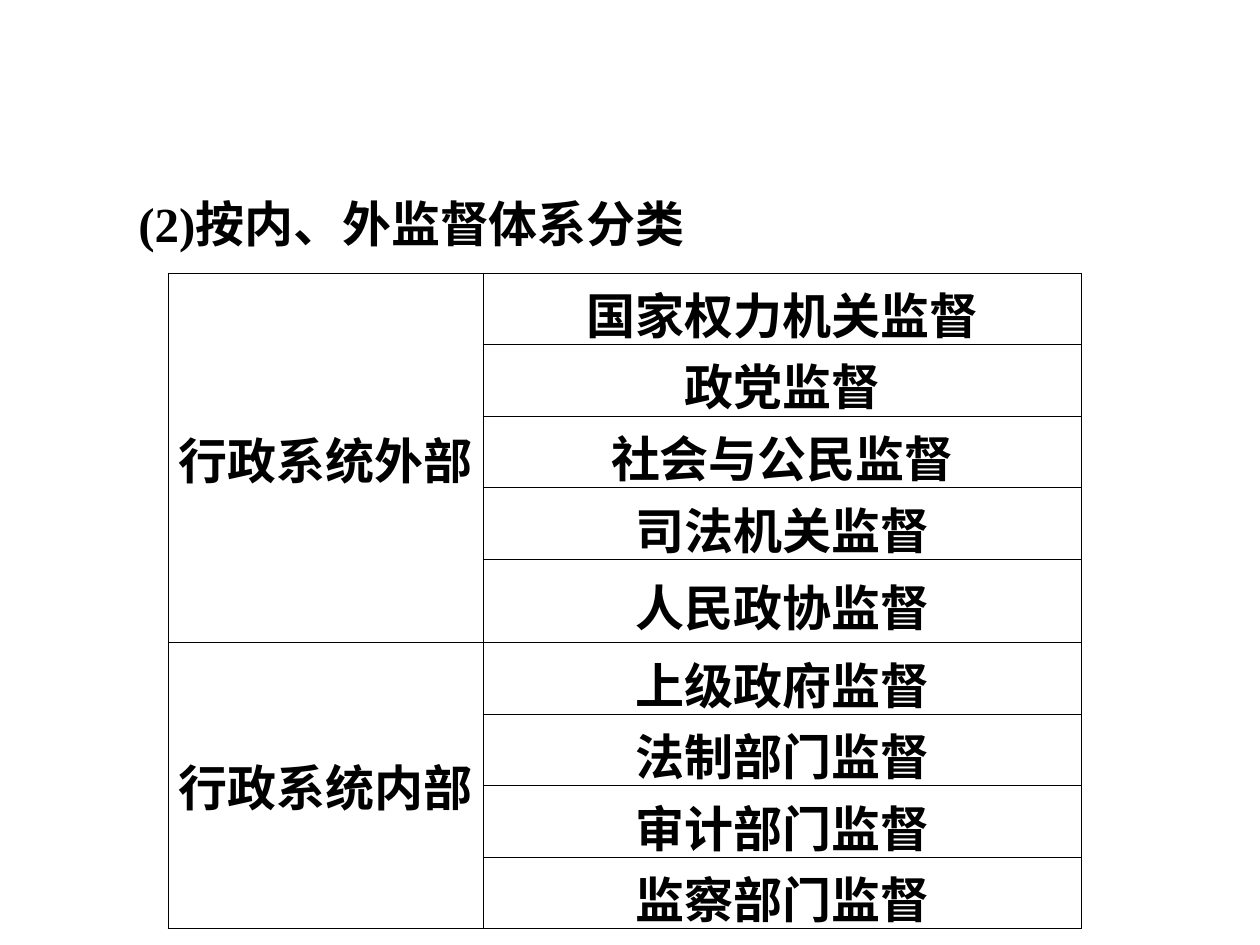
from lxml import etree
from pptx import Presentation
from pptx.dml.color import RGBColor
from pptx.enum.text import MSO_ANCHOR, MSO_AUTO_SIZE, PP_ALIGN
from pptx.oxml.ns import qn
from pptx.util import Pt

CENTER, JUSTIFY = PP_ALIGN.CENTER, PP_ALIGN.JUSTIFY
MIDDLE = MSO_ANCHOR.MIDDLE
GROW = MSO_AUTO_SIZE.SHAPE_TO_FIT_TEXT
COLORS = {"text": "000000", "border": "000000"}
CJK_FONT, LATIN_FONT = "Noto Sans CJK SC", "Times New Roman"
ROW_HEIGHT = 35.2
COLUMN_WIDTHS = (180, 342)
# Top and bottom cell margins; items sit tight on the lower border
GROUP_MARGINS = (3.6, 3.6)
ITEM_MARGINS = (2.7, -2.3)
GROUPS = {
    "行政系统外部": ["国家权力机关监督", "政党监督", "社会与公民监督",
               "司法机关监督", "人民政协监督"],
    "行政系统内部": ["上级政府监督", "法制部门监督", "审计部门监督", "监察部门监督"],
}


def write(frame, text, font_name, align):
    """Put one bold line into a text frame."""
    para = frame.paragraphs[0]
    span = para.add_run()
    span.text = text
    para.alignment = align
    for font in (para.font, span.font):
        font.name, font.size, font.bold = font_name, Pt(28), True
        font.color.rgb = RGBColor.from_string(COLORS["text"])
    east_asian = etree.Element(qn("a:ea"), typeface=CJK_FONT)
    span.font._element.find(qn("a:latin")).addnext(east_asian)
    return para


def add_borders(cell):
    properties = cell._tc.get_or_add_tcPr()
    for index, side in enumerate(("lnL", "lnR", "lnT", "lnB")):
        line = etree.Element(qn("a:" + side), w=str(Pt(0.45)))
        fill = etree.SubElement(line, qn("a:solidFill"))
        etree.SubElement(fill, qn("a:srgbClr"), val=COLORS["border"])
        properties.insert(index, line)


def fill_cell(cell, text, margins):
    cell.margin_left = cell.margin_right = Pt(5.76)
    cell.margin_top, cell.margin_bottom = map(Pt, margins)
    cell.vertical_anchor = MIDDLE
    write(cell.text_frame, text, CJK_FONT, CENTER)


def add_heading(page, text):
    box = page.shapes.add_textbox(Pt(72), Pt(90), Pt(570), Pt(57.6))
    frame = box.text_frame
    frame.word_wrap = True
    frame.auto_size = GROW
    write(frame, text, LATIN_FONT, JUSTIFY).line_spacing = 1.5


def add_group_table(page, groups):
    count = sum(len(items) for items in groups.values())
    table = page.shapes.add_table(
        count, 2, Pt(96), Pt(156), Pt(sum(COLUMN_WIDTHS)), Pt(count * ROW_HEIGHT)
    ).table
    table.first_row = table.horz_banding = False
    for column, width in zip(table.columns, COLUMN_WIDTHS):
        column.width = Pt(width)
    for row in table.rows:
        row.height = Pt(ROW_HEIGHT)
    for cell in table.iter_cells():
        cell.fill.background()
        add_borders(cell)

    # Each group name spans the rows of its items
    top = 0
    for name, items in groups.items():
        first = table.cell(top, 0)
        first.merge(table.cell(top + len(items) - 1, 0))
        fill_cell(first, name, GROUP_MARGINS)
        for row, item in enumerate(items, top):
            fill_cell(table.cell(row, 1), item, ITEM_MARGINS)
        top += len(items)


def main():
    deck = Presentation()
    deck.slide_width, deck.slide_height = Pt(720), Pt(540)
    page = deck.slides.add_slide(deck.slide_layouts[6])
    add_group_table(page, GROUPS)
    add_heading(page, "(2)按内、外监督体系分类")
    deck.save("out.pptx")


if __name__ == "__main__":
    main()
